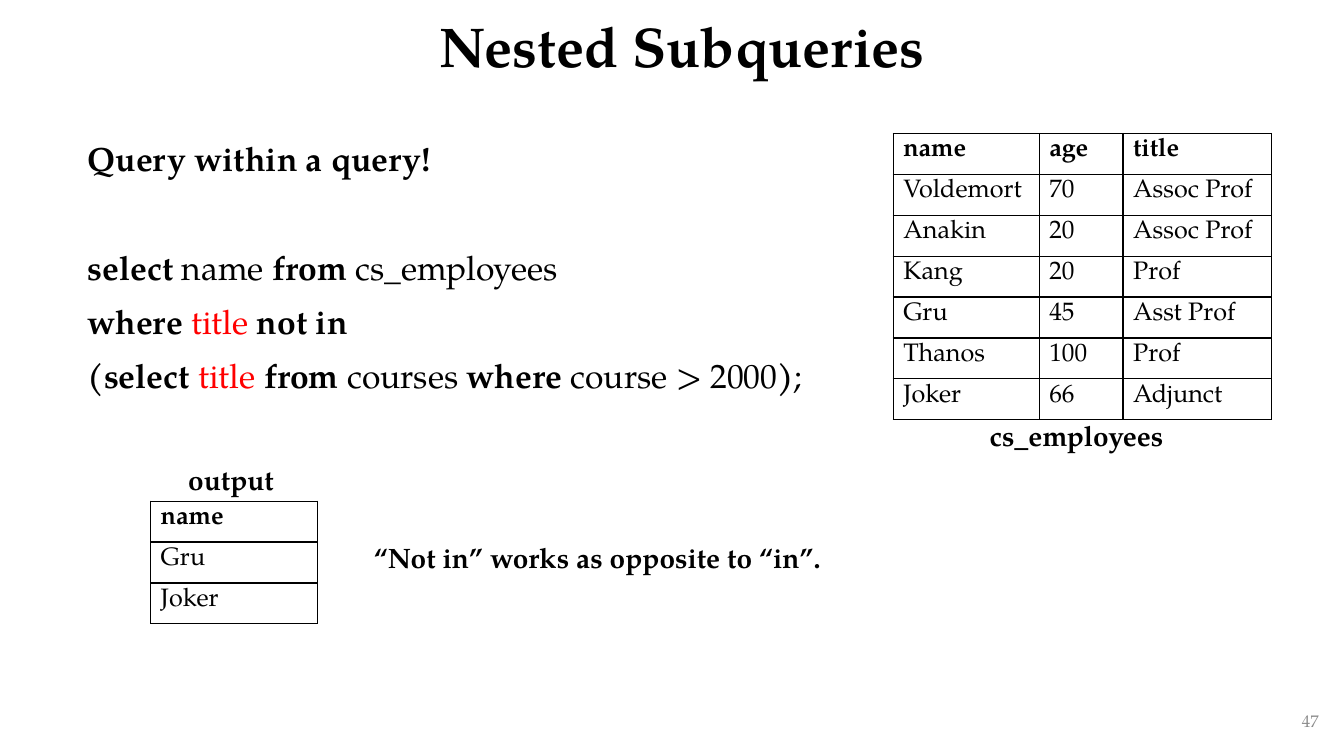
from dataclasses import dataclass

from pptx import Presentation
from pptx.dml.color import RGBColor
from pptx.enum.text import MSO_ANCHOR, MSO_AUTO_SIZE, PP_ALIGN
from pptx.oxml import parse_xml
from pptx.oxml.ns import nsdecls
from pptx.util import Pt

TOP, MIDDLE = MSO_ANCHOR.TOP, MSO_ANCHOR.MIDDLE
LEFT, CENTER, RIGHT, JUSTIFY = PP_ALIGN.LEFT, PP_ALIGN.CENTER, PP_ALIGN.RIGHT, PP_ALIGN.JUSTIFY
NO_FIT = MSO_AUTO_SIZE.NONE


@dataclass(frozen=True)
class Theme:
    face: str = "TeX Gyre Pagella"
    ink: str = "000000"
    accent: str = "FF0000"
    muted: str = "8C8C8C"
    heading: int = 40
    query: int = 24
    label: int = 20
    cell: int = 18
    page: int = 12


theme = Theme()


def write(paragraph, text, size, bold=True, color=theme.ink):
    run = paragraph.add_run()
    run.text = text
    font_values = {"name": theme.face, "size": Pt(size), "bold": bold}
    for key, value in font_values.items():
        setattr(run.font, key, value)
    run.font.color.rgb = RGBColor.from_string(color)


def add_relation(slide, left, top, widths, rows):
    row_height = 29.2
    relation = slide.shapes.add_table(
        len(rows), len(widths), Pt(left), Pt(top), Pt(sum(widths)), Pt(row_height * len(rows))
    ).table
    relation.first_row = relation.horz_banding = False
    for column, width in zip(relation.columns, widths):
        column.width = Pt(width)
    for row_index, values in enumerate(rows):
        relation.rows[row_index].height = Pt(row_height)
        for column_index, value in enumerate(values):
            cell = relation.cell(row_index, column_index)
            for side in ("lnL", "lnR", "lnT", "lnB"):
                cell._tc.get_or_add_tcPr().append(parse_xml(
                    f'<a:{side} {nsdecls("a")} w="{Pt(1)}"><a:solidFill>'
                    f'<a:srgbClr val="{theme.ink}"/></a:solidFill></a:{side}>'
                ))
            cell.fill.background()
            write(cell.text_frame.paragraphs[0], value, theme.cell, bold=row_index == 0)


deck = Presentation()
deck.slide_width, deck.slide_height = Pt(960), Pt(540)
slide = deck.slides.add_slide(deck.slide_layouts[1])

heading = slide.shapes.title
query = slide.placeholders[1]
places = [
    (heading, {"left": 73.4, "top": 0, "width": 828, "height": 70.6}),
    (query, {"left": 55.4, "top": 95, "width": 882, "height": 401.8}),
]
for placeholder, place in places:
    for key, value in place.items():
        setattr(placeholder, key, Pt(value))
    placeholder.text_frame.auto_size = NO_FIT

heading.text_frame.vertical_anchor = MIDDLE
heading_line = heading.text_frame.paragraphs[0]
heading_line.alignment = CENTER
heading_line.line_spacing = 0.9
write(heading_line, "Nested Subqueries", theme.heading)

keyword = {"bold": True}
plain = {"bold": False}
matched = {"bold": False, "color": theme.accent}
query_lines = [
    (0, [("Query within a query!", keyword)]),
    (48.6, [("select ", keyword), ("name", plain), (" from ", keyword), ("cs_employees", plain)]),
    (10, [("where ", keyword), ("title", matched), (" not in ", keyword)]),
    (10, [
        ("(select ", keyword), ("title", matched), (" from ", keyword), ("courses", plain),
        (" where ", keyword), ("course > 2000", plain), (")", keyword), (";", plain),
    ]),
]
query.text_frame.vertical_anchor = TOP
for index, (gap, parts) in enumerate(query_lines):
    line = query.text_frame.paragraphs[0] if index == 0 else query.text_frame.add_paragraph()
    properties = line._p.get_or_add_pPr()
    properties.set("marL", "0")
    properties.set("indent", "0")
    properties.append(parse_xml(f'<a:buNone {nsdecls("a")}/>'))
    line_values = {"alignment": JUSTIFY, "space_before": Pt(gap), "space_after": Pt(0)}
    for key, value in line_values.items():
        setattr(line, key, value)
    for text, style in parts:
        write(line, text, theme.query, **style)

employees = [
    ("name", "age", "title"),
    ("Voldemort", "70", "Assoc Prof"),
    ("Anakin", "20", "Assoc Prof"),
    ("Kang", "20", "Prof"),
    ("Gru", "45", "Asst Prof"),
    ("Thanos", "100", "Prof"),
    ("Joker", "66", "Adjunct"),
]
add_relation(slide, 638, 95.4, (104.4, 59.8, 105.8), employees)
add_relation(slide, 107.6, 358, (119,), [("name",), ("Gru",), ("Joker",)])

label_style = {"size": theme.label}
page_style = {"size": theme.page, "bold": False, "color": theme.muted}
captions = [
    ("cs_employees", 699.8, 295.2, 144.8, 31.5, TOP, LEFT, label_style),
    ("output", 127.4, 326.9, 87.2, 31.5, TOP, LEFT, label_style),
    ("“Not in” works as opposite to “in”.", 260, 382.3, 346.4, 31.5, TOP, LEFT, label_style),
    ("47", 733, 500.4, 216, 28.8, MIDDLE, RIGHT, page_style),
]
for text, left, top, width, height, anchor, alignment, style in captions:
    frame = slide.shapes.add_textbox(Pt(left), Pt(top), Pt(width), Pt(height)).text_frame
    frame.word_wrap = True
    frame.vertical_anchor = anchor
    frame.paragraphs[0].alignment = alignment
    write(frame.paragraphs[0], text, **style)

deck.save("out.pptx")
